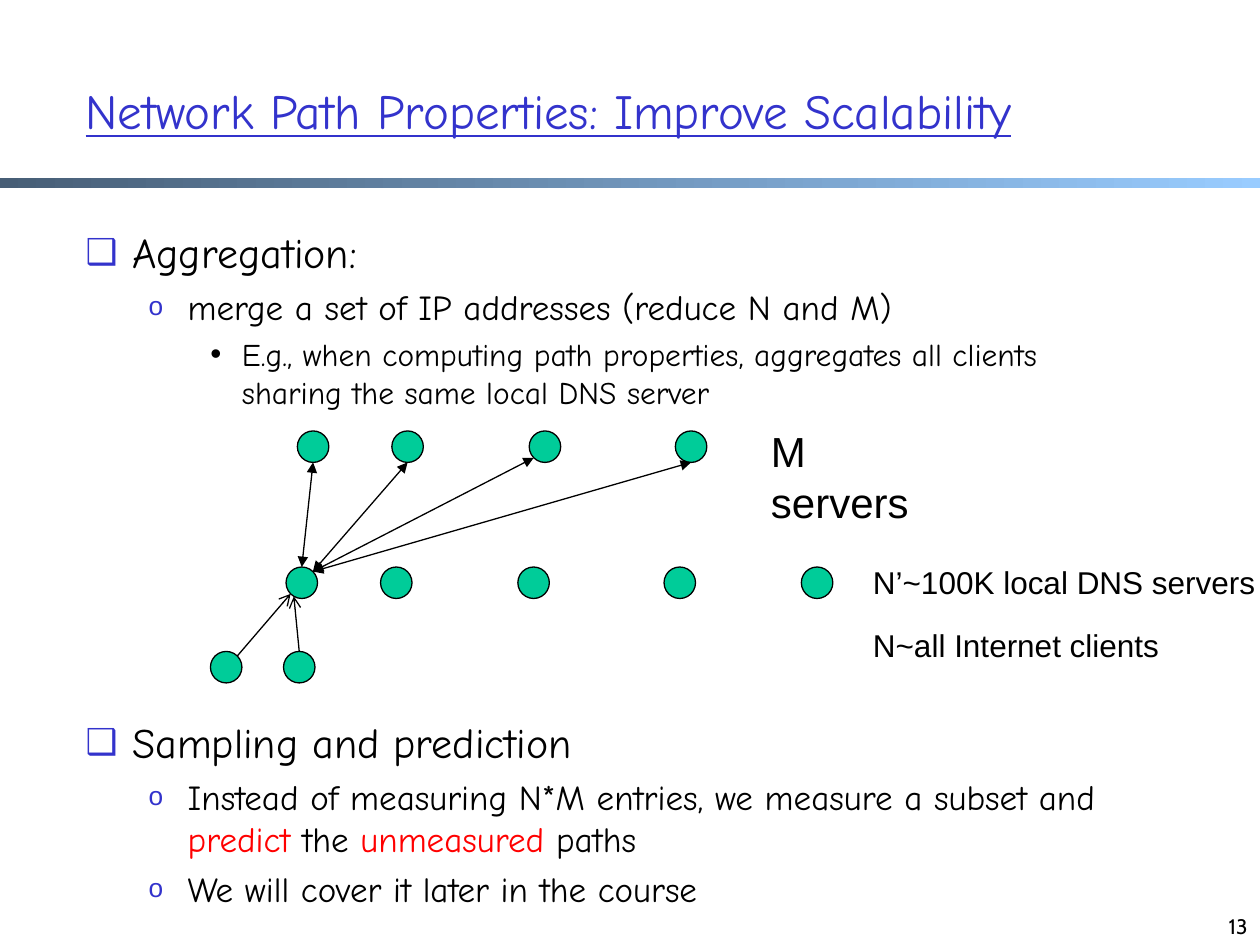
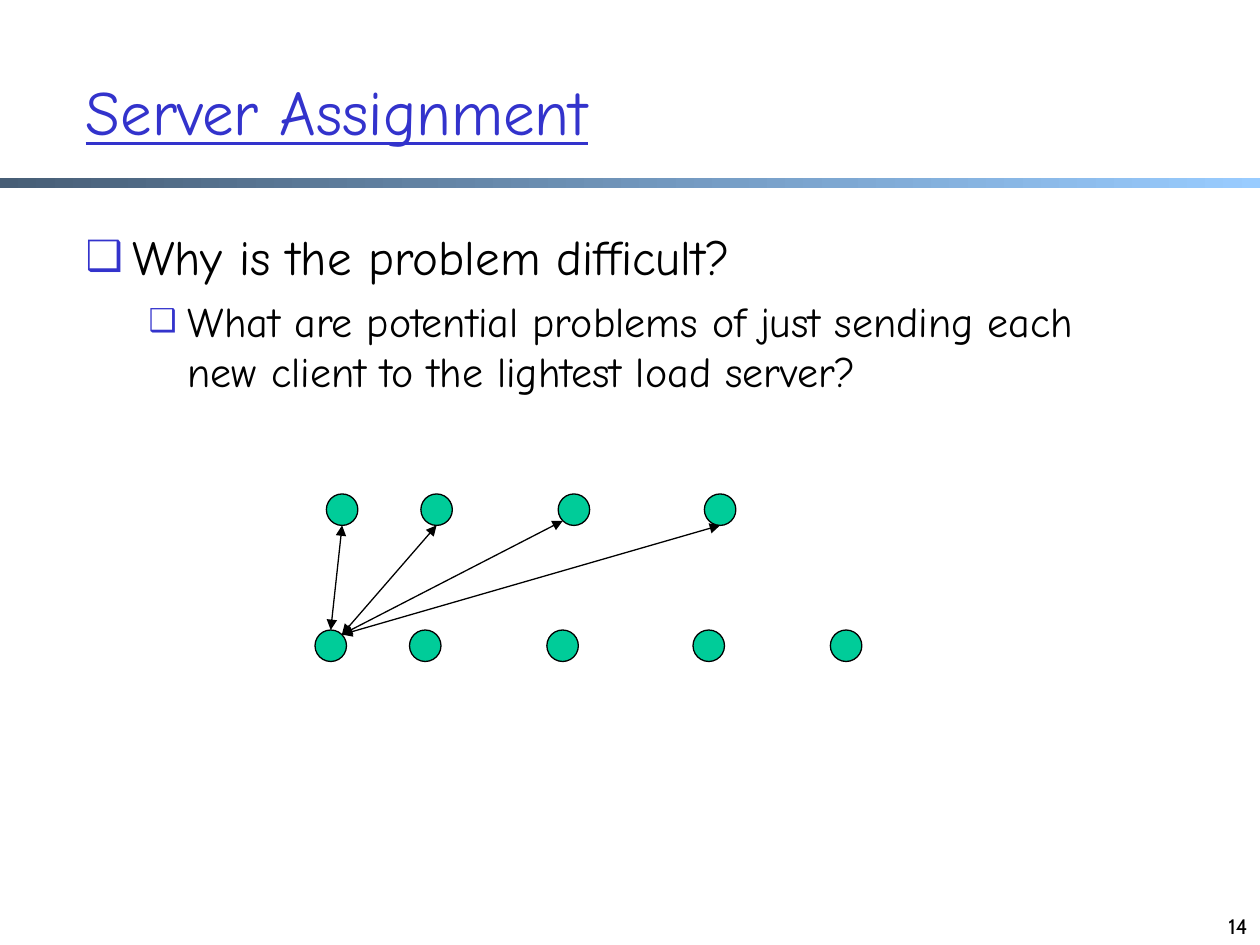
from dataclasses import dataclass
from math import cos, radians, sin
from typing import Any

from lxml import etree
from pptx import Presentation
from pptx import util as u
from pptx.dml.color import RGBColor
from pptx.enum import shapes, text
from pptx.oxml.ns import qn


@dataclass(frozen=True)
class Theme:
    accent: RGBColor = RGBColor.from_string("3333CC")
    ink: RGBColor = RGBColor.from_string("000000")
    alert: RGBColor = RGBColor.from_string("FF0000")
    node: RGBColor = RGBColor.from_string("00CC99")
    band_start: RGBColor = RGBColor.from_string("475E76")
    band_end: RGBColor = RGBColor.from_string("99CCFF")
    hand_font: str = "Comic Neue"
    plain_font: str = "Arial"
    number_font: str = "Cabin"
    number_size: int = 12
    line_width: float = 0.75
    space_ratio: float = 0.235


@dataclass(frozen=True)
class Level:
    margin: float
    hanging: float
    bullet_percent: int
    bullet_color: RGBColor


@dataclass(frozen=True)
class Item:
    level: int
    bullet: str
    size: int
    runs: tuple[tuple[str, RGBColor], ...]
    gap: float | None = None


@dataclass(frozen=True)
class Label:
    left: float
    top: float
    width: float
    wording: str
    size: int


@dataclass(frozen=True)
class Node:
    left: float
    top: float
    shape: Any

    def rim(self, angle: int) -> tuple[float, float]:
        radius = NODE_SIZE / 2
        return (self.left + radius + radius * cos(radians(angle)),
                self.top + radius - radius * sin(radians(angle)))


THEME = Theme()
LEVELS = (
    Level(0.37, 0.37, 85, THEME.accent),
    Level(0.81, 0.31, 75, THEME.accent),
    Level(1.24, 0.25, 100, THEME.ink),
)
NODE_SIZE = 0.25
ROW_STEP = 1.08
SERVER_SHIFT = 0.09
COLUMNS = (0, 0.75, 1.84, 3, 4.09)
SERVER_ANGLES = (270, 270, 225, 270)
TOP_ANGLE = 90


def apply(target: Any, values: dict[str, Any]) -> None:
    for name, value in values.items():
        setattr(target, name, value)


def box(left: float, top: float, width: float, height: float) -> dict[str, Any]:
    return {"left": u.Inches(left), "top": u.Inches(top),
            "width": u.Inches(width), "height": u.Inches(height)}


def add_run(paragraph: Any, wording: str, size: int, font: str,
            color: RGBColor, underline: bool = False) -> None:
    run = paragraph.add_run()
    run.text = wording
    apply(run.font, {"size": u.Pt(size), "name": font, "bold": False})
    if underline:
        run.font.underline = True
    run.font.color.rgb = color


def add_band(slide: Any) -> None:
    band = slide.shapes.add_shape(shapes.MSO_SHAPE.RECTANGLE, **box(0, 1.41, 10, 0.08))
    band.shadow.inherit = False
    band.line.fill.background()
    band.fill.gradient()
    band.fill.gradient_angle = 0
    for stop, color in zip(band.fill.gradient_stops, (THEME.band_start, THEME.band_end)):
        stop.color.rgb = color


def add_textbox(parent: Any, label: Label, font: str, height: float = 0.4,
                frame_format: dict[str, Any] | None = None,
                alignment: Any = text.PP_ALIGN.LEFT) -> None:
    shape = parent.add_textbox(**box(label.left, label.top, label.width, height))
    frame = shape.text_frame
    apply(frame, {"word_wrap": True, **(frame_format or {})})
    paragraph = frame.paragraphs[0]
    paragraph.alignment = alignment
    add_run(paragraph, label.wording, label.size, font, THEME.ink)


def set_title(slide: Any, wording: str, size: int, width: float) -> None:
    title = slide.shapes.title
    apply(title, box(0.58, 0.25, width, 1.25))
    apply(title.text_frame, {"vertical_anchor": text.MSO_ANCHOR.MIDDLE,
                             "auto_size": text.MSO_AUTO_SIZE.NONE})
    paragraph = title.text_frame.paragraphs[0]
    paragraph.alignment = text.PP_ALIGN.LEFT
    add_run(paragraph, wording, size, THEME.hand_font, THEME.accent, underline=True)


def set_bullet(paragraph: Any, item: Item) -> None:
    level = LEVELS[item.level]
    properties = paragraph._p.get_or_add_pPr()
    properties.set("marL", str(u.Inches(level.margin)))
    properties.set("indent", str(-u.Inches(level.hanging)))
    color = etree.SubElement(properties, qn("a:buClr"))
    etree.SubElement(color, qn("a:srgbClr"), val=str(level.bullet_color))
    etree.SubElement(properties, qn("a:buSzPct"), val=str(level.bullet_percent * 1000))
    etree.SubElement(properties, qn("a:buFont"), typeface=THEME.plain_font)
    etree.SubElement(properties, qn("a:buChar"), char=item.bullet)


def set_body(slide: Any, items: tuple[Item, ...]) -> None:
    body = slide.placeholders[1]
    apply(body, box(0.58, 1.75, 8.5, 5.08))
    frame = body.text_frame
    frame.auto_size = text.MSO_AUTO_SIZE.NONE
    for index, item in enumerate(items):
        paragraph = frame.add_paragraph() if index else frame.paragraphs[0]
        gap = item.size * THEME.space_ratio if item.gap is None else item.gap
        apply(paragraph, {"level": item.level, "space_before": u.Pt(gap)})
        set_bullet(paragraph, item)
        for wording, color in item.runs:
            add_run(paragraph, wording, item.size, THEME.hand_font, color)


def add_node(group: Any, left: float, top: float) -> Node:
    shape = group.shapes.add_shape(shapes.MSO_SHAPE.OVAL,
                                   **box(left, top, NODE_SIZE, NODE_SIZE))
    shape.shadow.inherit = False
    shape.fill.solid()
    shape.fill.fore_color.rgb = THEME.node
    shape.line.color.rgb = THEME.ink
    shape.line.width = u.Pt(THEME.line_width)
    return Node(left, top, shape)


def add_arrow(group: Any, start: Node, start_angle: int, end: Node, end_angle: int,
              ends: dict[str, str]) -> None:
    points = start.rim(start_angle) + end.rim(end_angle)
    connector = group.shapes.add_connector(shapes.MSO_CONNECTOR.STRAIGHT,
                                           *(u.Inches(value) for value in points))
    connector.line.color.rgb = THEME.ink
    connector.line.width = u.Pt(THEME.line_width)
    properties = connector.element.spPr
    outline = properties.find(qn("a:ln"))
    for tag, kind in ends.items():
        etree.SubElement(outline, qn(tag), type=kind)
    etree.SubElement(properties, qn("a:effectLst"))
    if start_angle == TOP_ANGLE:
        connector.begin_connect(start.shape, 0)


def add_network(slide: Any, left: float, top: float) -> tuple[Any, Node]:
    group = slide.shapes.add_group_shape()
    servers = [add_node(group, left + SERVER_SHIFT + column, top)
               for column in COLUMNS[:len(SERVER_ANGLES)]]
    resolvers = [add_node(group, left + column, top + ROW_STEP) for column in COLUMNS]
    hub = resolvers[0]
    for index, (server, angle) in enumerate(zip(servers, SERVER_ANGLES)):
        add_arrow(group, hub, 45 if index else TOP_ANGLE, server, angle,
                  {"a:headEnd": "triangle", "a:tailEnd": "triangle"})
    return group, hub


def add_clients(group: Any, hub: Node) -> None:
    for left, start_angle, hub_angle in ((1.67, 45, 225), (2.25, TOP_ANGLE, 240)):
        client = add_node(group, left, 5.17)
        add_arrow(group, client, start_angle, hub, hub_angle, {"a:tailEnd": "arrow"})


def add_slide(presentation: Any, title: str, title_size: int, title_width: float,
              items: tuple[Item, ...], number: int) -> Any:
    slide = presentation.slides.add_slide(presentation.slide_layouts[1])
    add_band(slide)
    set_title(slide, title, title_size, title_width)
    set_body(slide, items)
    add_textbox(slide.shapes, Label(7.67, 7, 2.33, str(number), THEME.number_size),
                THEME.number_font, 0.5, {"vertical_anchor": text.MSO_ANCHOR.BOTTOM},
                text.PP_ALIGN.RIGHT)
    return slide


def plain(wording: str) -> tuple[tuple[str, RGBColor], ...]:
    return ((wording, THEME.ink),)


SCALABILITY_ITEMS = (
    Item(0, "❑", 24, plain("Aggregation:")),
    Item(1, "o", 20, plain("merge a set of IP addresses (reduce N and M)")),
    Item(2, "•", 18, plain("E.g., when computing path properties, aggregates all clients "
                           "sharing the same local DNS server")),
    Item(0, "❑", 24, plain("Sampling and prediction"), gap=175),
    Item(1, "o", 20, (
        ("Instead of measuring N*M entries, we measure a subset and ", THEME.ink),
        ("predict", THEME.alert),
        (" the ", THEME.ink),
        ("unmeasured", THEME.alert),
        (" paths", THEME.ink),
    )),
    Item(1, "o", 20, plain("We will cover it later in the course")),
)
ASSIGNMENT_ITEMS = (
    Item(0, "❑", 28, plain("Why is the problem difficult?")),
    Item(1, "❑", 24, plain("What are potential problems of just sending each new client "
                           "to the lightest load server?")),
)
NETWORK_LABELS = (
    Label(6.02, 3.33, 1.31, "M servers", 24),
    Label(6.83, 4.42, 3.34, "N’~100K local DNS servers", 18),
    Label(6.83, 4.92, 2.5, "N~all Internet clients", 18),
)


def main() -> None:
    presentation = Presentation()
    apply(presentation, {"slide_width": u.Inches(10), "slide_height": u.Inches(7.5)})

    scalability = add_slide(presentation, "Network Path Properties: Improve Scalability",
                            28, 9, SCALABILITY_ITEMS, 13)
    group, hub = add_network(scalability, 2.27, 3.42)
    add_clients(group, hub)
    for label in NETWORK_LABELS:
        add_textbox(group.shapes, label, THEME.plain_font)

    assignment = add_slide(presentation, "Server Assignment", 36, 8.5, ASSIGNMENT_ITEMS, 14)
    add_network(assignment, 2.5, 3.92)
    presentation.save("out.pptx")


if __name__ == "__main__":
    main()
